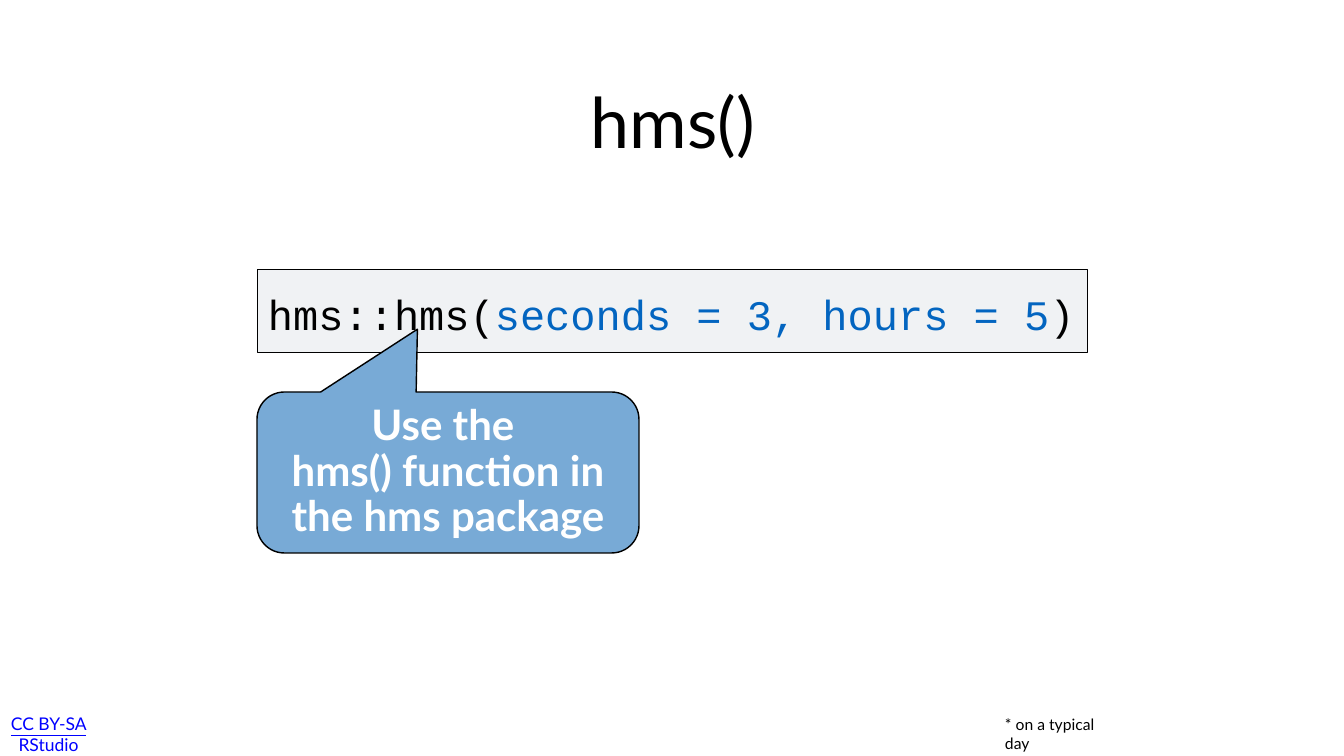
from pptx import Presentation
from pptx.dml.color import RGBColor
from pptx.enum.shapes import MSO_SHAPE
from pptx.enum.text import MSO_ANCHOR, MSO_AUTO_SIZE, PP_ALIGN
from pptx.util import Emu, Pt

RECTANGLE = MSO_SHAPE.RECTANGLE
CALLOUT = MSO_SHAPE.ROUNDED_RECTANGULAR_CALLOUT
LEFT, CENTER = PP_ALIGN.LEFT, PP_ALIGN.CENTER
TOP, MIDDLE = MSO_ANCHOR.TOP, MSO_ANCHOR.MIDDLE
TITLE_ONLY = 5
EMU_PER_PX = 914400 / 50.4

THEME = {
    "body_font": "Lato", "code_font": "Courier New",
    "black": "000000", "white": "FFFFFF", "link": "0000FF",
    "argument": "0365C0", "panel": "F0F2F4", "callout": "78AAD6",
    "title_size": 100, "text_size": 60, "license_size": 25, "note_size": 22.4,
}

# Each paragraph is a list of (text, colour name) runs.
TITLE = [[("hms()", "black")]]
LICENSE = [[("CC BY-SA RStudio", "link")]]
NOTE = [[("* on a typical day", "black")]]
CODE = [[("hms::hms(", "black"), ("seconds = 3, hours = 5", "argument"), (")", "black")]]
CALLOUT_TEXT = [[("Use the ", "white")], [("hms() function in the hms package", "white")]]

# Left, top, width, height in px
SLIDE_SIZE = (1344, 756)
LICENSE_BOX = (6, 719, 134, 30)
TITLE_BOX = (222, 55, 902, 132)
NOTE_BOX = (1002, 718, 115, 31)
PANEL_BOX = (257, 269, 830, 83)
CODE_BOX = (265, 278, 814, 64)
CALLOUT_BOX = (257, 392, 382, 161)
CALLOUT_POINTER = (-0.08, -0.89, 0.17)


def px(value):
    return Emu(round(value * EMU_PER_PX))


def color(name):
    return RGBColor.from_string(THEME[name])


def place(shape, box):
    shape.left, shape.top, shape.width, shape.height = map(px, box)


def write(shape, paragraphs, size, font="body_font", align=LEFT, anchor=MIDDLE,
          insets=(3, 3, 3, 3), bold=False, underline=False, line_spacing=1.0):
    """Fill a shape with text; insets are left, top, right, bottom in px."""
    frame = shape.text_frame
    frame.word_wrap = True
    frame.auto_size = MSO_AUTO_SIZE.NONE
    frame.vertical_anchor = anchor
    (frame.margin_left, frame.margin_top,
     frame.margin_right, frame.margin_bottom) = map(px, insets)
    for index, runs in enumerate(paragraphs):
        paragraph = frame.add_paragraph() if index else frame.paragraphs[0]
        paragraph.alignment = align
        paragraph.line_spacing = line_spacing
        paragraph.font.name = THEME[font]
        paragraph.font.size = Pt(THEME[size])
        paragraph.font.bold = bold
        paragraph.font.underline = underline
        for text, color_name in runs:
            run = paragraph.add_run()
            run.text = text
            run.font.color.rgb = color(color_name)


def add_text(slide, box, paragraphs, size, **options):
    write(slide.shapes.add_textbox(*map(px, box)), paragraphs, size, **options)


def add_filled_shape(slide, kind, box, fill, line_width):
    shape = slide.shapes.add_shape(kind, *map(px, box))
    shape.shadow.inherit = False
    shape.fill.solid()
    shape.fill.fore_color.rgb = color(fill)
    shape.line.color.rgb = color("black")
    shape.line.width = Pt(line_width)
    return shape


def main():
    presentation = Presentation()
    presentation.slide_width, presentation.slide_height = map(px, SLIDE_SIZE)
    slide = presentation.slides.add_slide(presentation.slide_layouts[TITLE_ONLY])

    title = slide.shapes.title
    place(title, TITLE_BOX)
    write(title, TITLE, "title_size", align=CENTER)

    # The wide right inset keeps the license in a narrow column at the edge.
    add_text(slide, LICENSE_BOX, LICENSE, "license_size", align=CENTER,
             insets=(2, 4, 51, 4), underline=True)
    add_text(slide, NOTE_BOX, NOTE, "note_size")

    add_filled_shape(slide, RECTANGLE, PANEL_BOX, "panel", 1)
    add_text(slide, CODE_BOX, CODE, "text_size", font="code_font", anchor=TOP,
             insets=(3, 11, 3, 3))

    callout = add_filled_shape(slide, CALLOUT, CALLOUT_BOX, "callout", 2)
    for index, value in enumerate(CALLOUT_POINTER):
        callout.adjustments[index] = value
    write(callout, CALLOUT_TEXT, "text_size", align=CENTER,
          insets=(4, 4, 4, 4), bold=True, line_spacing=0.9)

    presentation.save("out.pptx")


if __name__ == "__main__":
    main()
